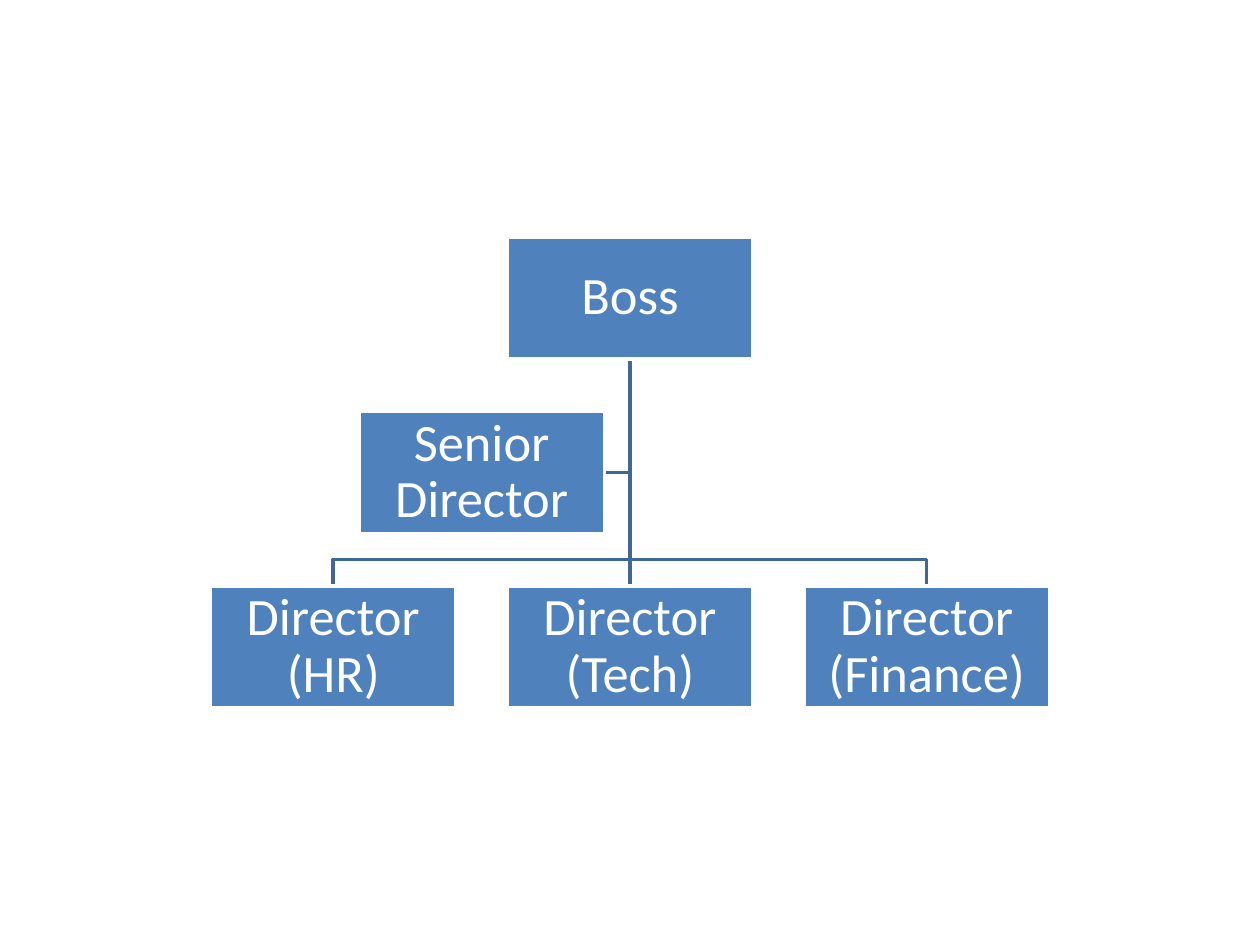
from pptx import Presentation
from pptx.dml.color import RGBColor
from pptx.enum.shapes import MSO_CONNECTOR, MSO_SHAPE
from pptx.enum.text import MSO_ANCHOR, PP_ALIGN
from pptx.oxml.ns import qn
from pptx.util import Inches, Pt
from lxml import etree

RECT = MSO_SHAPE.RECTANGLE
STRAIGHT = MSO_CONNECTOR.STRAIGHT
MIDDLE = MSO_ANCHOR.MIDDLE
CENTER = PP_ALIGN.CENTER

COLORS = {"box": "4F81BD", "link": "3F6797", "white": "FFFFFF"}
FONT = "Calibri"
NODE_W, NODE_H = 1.95, 0.97
BUS_GAP = 0.21


def set_line(line, color):
    """Give a line its colour and the common width."""
    line.color.rgb = RGBColor.from_string(COLORS[color])
    line.width = Pt(2)


def add_elbow(slide, points):
    """Draw an open, unfilled polyline through points in inches."""
    start, *rest = [(Inches(x), Inches(y)) for x, y in points]
    builder = slide.shapes.build_freeform(*start)
    builder.add_line_segments(rest, close=False)
    sp = builder.convert_to_shape()
    sp.shadow.inherit = False
    sp.fill.background()
    set_line(sp.line, "link")


def add_straight(slide, start, end):
    """Draw a straight connector between two points in inches."""
    ends = [Inches(v) for v in (*start, *end)]
    cxn = slide.shapes.add_connector(STRAIGHT, *ends)
    set_line(cxn.line, "link")
    etree.SubElement(cxn._element.spPr, qn("a:effectLst"))


def add_node(slide, left, top, text):
    """Add one labelled box of the chart."""
    box = [Inches(v) for v in (left, top, NODE_W, NODE_H)]
    sp = slide.shapes.add_shape(RECT, *box)
    sp.shadow.inherit = False
    sp.fill.solid()
    sp.fill.fore_color.rgb = RGBColor.from_string(COLORS["box"])
    set_line(sp.line, "white")
    tf = sp.text_frame
    tf.word_wrap = True
    tf.vertical_anchor = MIDDLE
    tf.margin_left = tf.margin_right = Inches(0.02)
    tf.margin_top = tf.margin_bottom = Inches(0.02)
    p = tf.paragraphs[0]
    p.alignment = CENTER
    p.line_spacing = 0.9
    r = p.add_run()
    r.text = text
    r.font.name = FONT
    r.font.size = Pt(30)
    r.font.color.rgb = RGBColor.from_string(COLORS["white"])


def add_org_chart(slide, left, top, width, height, boss, assistant, reports):
    """Lay out a boss, an assistant and a row of reports inside a box."""
    col = (width - NODE_W) / (len(reports) - 1)
    row = (height - NODE_H) / 2
    mid = left + width / 2
    boss_left = mid - NODE_W / 2
    assistant_left = boss_left - col / 2
    stem_top = top + NODE_H
    reports_top = top + 2 * row
    bus = reports_top - BUS_GAP
    branch = top + row + NODE_H / 2

    add_elbow(slide, [(mid, stem_top), (mid, branch),
                      (assistant_left + NODE_W, branch)])
    for x in (mid + col, mid - col):
        add_elbow(slide, [(mid, stem_top), (mid, bus), (x, bus),
                          (x, reports_top)])
    add_straight(slide, (mid, stem_top), (mid, reports_top))

    add_node(slide, boss_left, top, boss)
    for i, text in enumerate(reports):
        add_node(slide, left + i * col, reports_top, text)
    add_node(slide, assistant_left, top + row, assistant)


def main():
    """Build the one-slide deck."""
    prs = Presentation()
    prs.slide_width, prs.slide_height = Inches(10), Inches(7.5)
    slide = prs.slides.add_slide(prs.slide_layouts[6])
    add_org_chart(slide, 1.67, 1.88, 6.66, 3.74, "Boss", "Senior Director",
                  ["Director (HR)", "Director (Tech)", "Director (Finance)"])
    prs.save("out.pptx")


if __name__ == "__main__":
    main()
